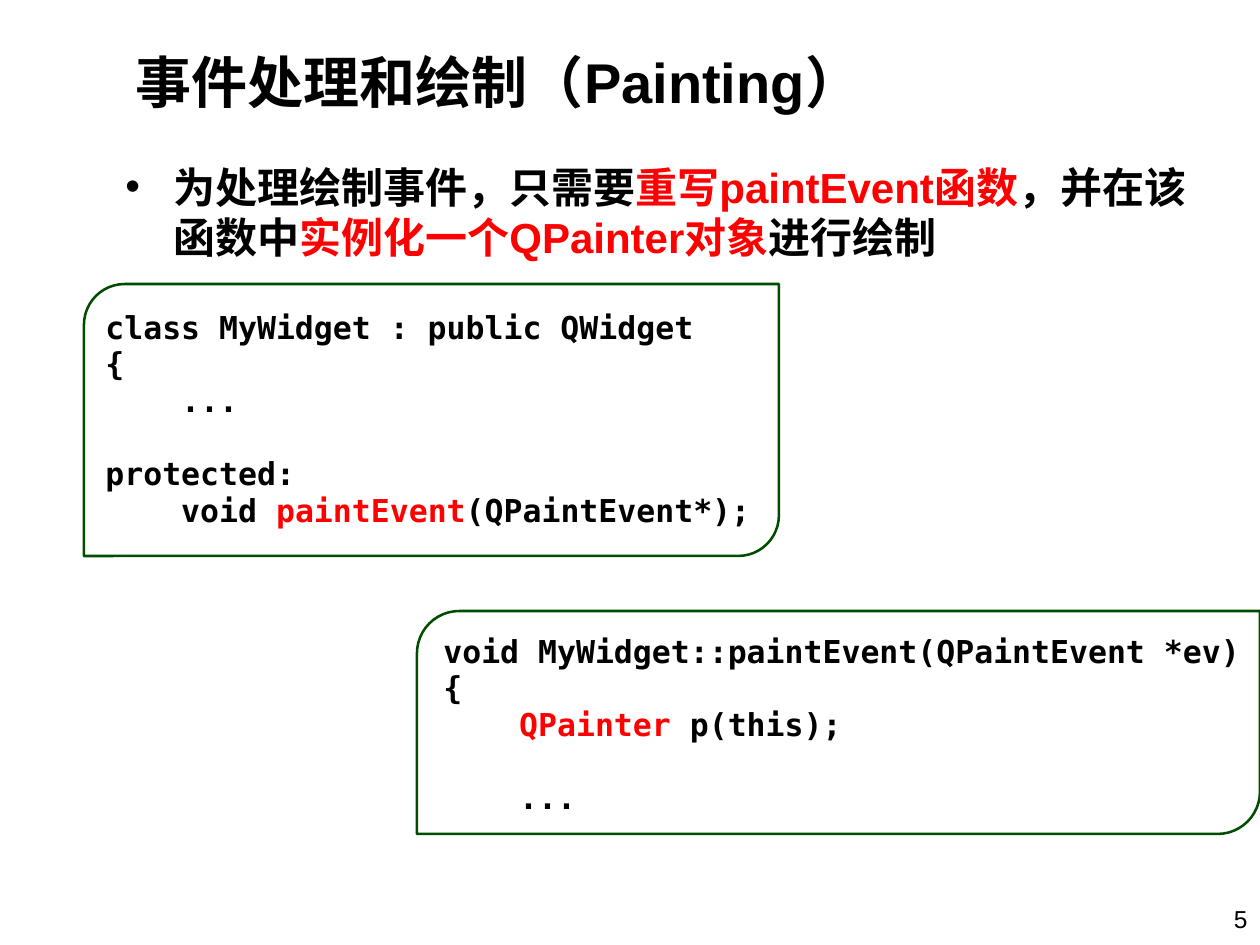
from lxml import etree
from pptx import Presentation
from pptx.dml.color import RGBColor
from pptx.enum.shapes import MSO_SHAPE
from pptx.enum.text import MSO_ANCHOR, MSO_AUTO_SIZE, PP_ALIGN
from pptx.oxml.ns import qn
from pptx.util import Emu, Pt

LEFT, RIGHT = PP_ALIGN.LEFT, PP_ALIGN.RIGHT
TOP, MIDDLE = MSO_ANCHOR.TOP, MSO_ANCHOR.MIDDLE
NO_AUTOFIT = MSO_AUTO_SIZE.NONE
FRAME_SHAPE = MSO_SHAPE.ROUND_2_DIAG_RECTANGLE
TITLE_ONLY = 5

THEME = {
    "font": "Arial", "code_font": "DejaVu Sans Mono",
    "text": "000000", "accent": "FF0000", "frame": "004C00",
    "title_size": 32, "body_size": 24, "code_size": 18, "number_size": 14,
    "frame_width": 1.45,
}

# Content: a paragraph is a list of (text, colour name) runs
TITLE = [[("事件处理和绘制（Painting）", "text")]]
BODY = [[
    ("为处理绘制事件，只需要", "text"), ("重写paintEvent函数", "accent"),
    ("，并在该函数中", "text"), ("实例化一个QPainter对象", "accent"),
    ("进行绘制", "text"),
]]
NUMBER = [[("5", "text")]]

# Code panels: frame box and text box (left, top, width, height in px)
CODE_PANELS = [
    {"frame": (84, 284, 695, 272), "text": (93, 302, 668, 268), "radius": 40,
     "highlight": "paintEvent",
     "code": ["class MyWidget : public QWidget", "{", "    ...", "",
              "protected:", "    void paintEvent(QPaintEvent*);"]},
    {"frame": (417, 611, 843, 223), "text": (431, 626, 819, 195), "radius": 42,
     "highlight": "QPainter",
     "code": ["void MyWidget::paintEvent(QPaintEvent *ev)", "{",
              "    QPainter p(this);", "", "    ..."]},
]


def px(value):
    return Emu(round(value * 914400 / 126))


def place(shape, box):
    shape.left, shape.top, shape.width, shape.height = map(px, box)
    return shape


def color(name):
    return RGBColor.from_string(THEME[name])


def write(shape, paragraphs, *, size, font="font", bold=True, align=LEFT,
          anchor=TOP, wrap=True, line_spacing=None, inset_top=6):
    frame = shape.text_frame
    frame.auto_size = NO_AUTOFIT
    frame.word_wrap = wrap
    frame.vertical_anchor = anchor
    frame.margin_top = px(inset_top)
    for index, runs in enumerate(paragraphs):
        paragraph = frame.add_paragraph() if index else frame.paragraphs[0]
        paragraph.alignment = align
        paragraph.line_spacing = line_spacing
        paragraph.font.size = Pt(THEME[size])
        for text, color_name in runs:
            run = paragraph.add_run()
            run.text = text
            run.font.name = THEME[font]
            run.font.size = Pt(THEME[size])
            run.font.bold = bold
            run.font.color.rgb = color(color_name)
    return frame


def add_bullet(paragraph, indent):
    properties = paragraph._p.get_or_add_pPr()
    properties.set("marL", str(px(indent)))
    properties.set("indent", str(-px(indent)))
    etree.SubElement(properties, qn("a:buFont"), typeface=THEME["font"])
    etree.SubElement(properties, qn("a:buChar"), char="•")


def code_runs(line, highlight):
    before, found, after = line.partition(highlight)
    runs = [(before, "text"), (found, "accent"), (after, "text")]
    return [run for run in runs if run[0]]


def add_code_panel(slide, panel):
    frame = place(slide.shapes.add_shape(FRAME_SHAPE, 0, 0, 0, 0), panel["frame"])
    frame.adjustments[0] = round(panel["radius"] / panel["frame"][3], 2)
    frame.shadow.inherit = False
    frame.fill.background()
    frame.line.color.rgb = color("frame")
    frame.line.width = Pt(THEME["frame_width"])

    # Only a call or a declaration inside the block is highlighted
    lines = [code_runs(line, panel["highlight"]) if line.startswith(" ")
             else [(line, "text")] if line else [] for line in panel["code"]]
    write(add_text_box(slide, panel["text"]), lines, size="code_size",
          font="code_font", wrap=False, line_spacing=0.97, inset_top=8)


def add_text_box(slide, box):
    return slide.shapes.add_textbox(*map(px, box))


def main():
    presentation = Presentation()
    presentation.slide_width, presentation.slide_height = px(1260), px(945)
    slide = presentation.slides.add_slide(presentation.slide_layouts[TITLE_ONLY])

    # Title
    title = place(slide.shapes.title, (123, 26, 833, 110))
    write(title, TITLE, size="title_size", anchor=MIDDLE)

    # Bulleted explanation
    body = write(add_text_box(slide, (113, 155, 1091, 120)), BODY, size="body_size")
    add_bullet(body.paragraphs[0], 48)

    # Code panels
    for panel in CODE_PANELS:
        add_code_panel(slide, panel)

    # Page number
    write(add_text_box(slide, (1057, 898, 203, 47)), NUMBER, size="number_size",
          bold=False, align=RIGHT)

    presentation.save("out.pptx")


if __name__ == "__main__":
    main()
